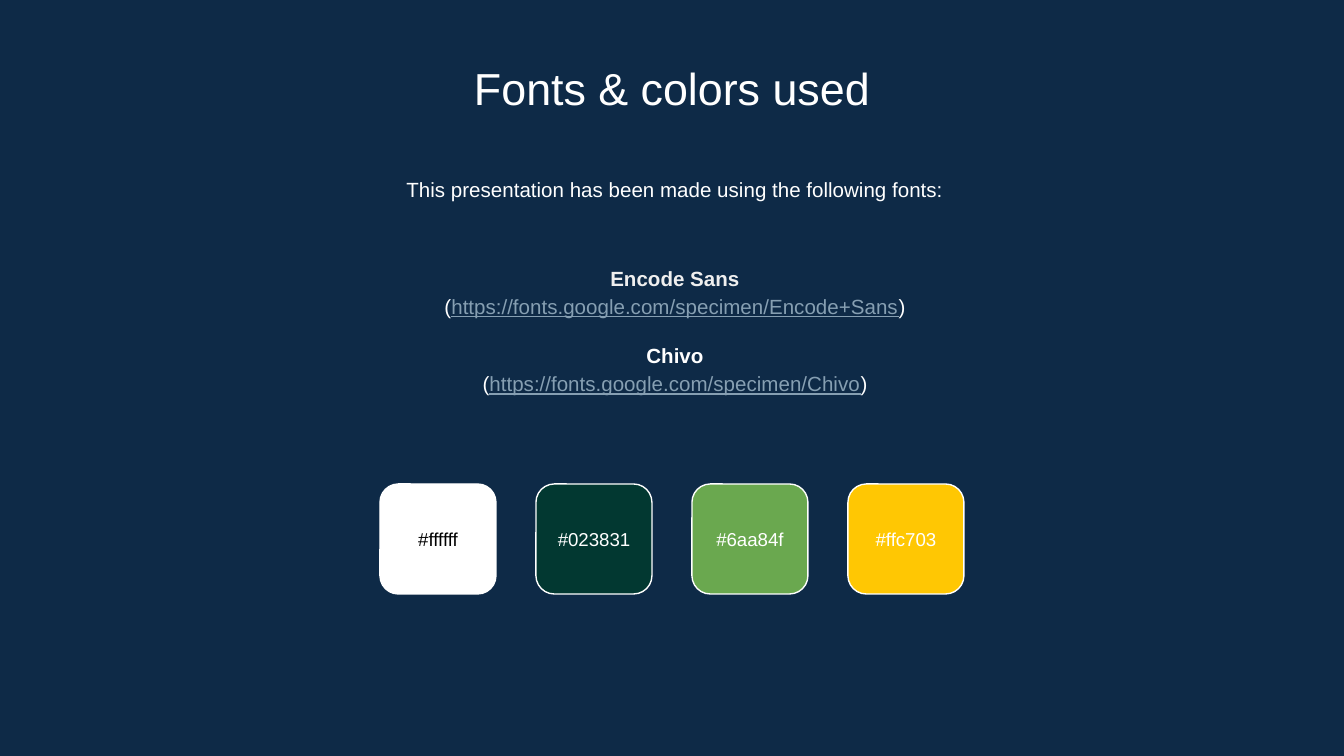
from pptx import Presentation
from pptx.dml.color import RGBColor
from pptx.enum.shapes import MSO_SHAPE as Shape
from pptx.enum.text import MSO_ANCHOR as Anchor, MSO_AUTO_SIZE as AutoSize, PP_ALIGN as Align
from pptx.util import Inches, Pt

SCALE = Inches(10) / 1344
COLORS = {
    "navy": "0E2A47",
    "white": "FFFFFF",
    "black": "000000",
    "pale": "EFEFEF",
    "link": "869FB2",
}
FONTS = [
    ("Encode Sans", "https://fonts.google.com/specimen/Encode+Sans", "pale"),
    ("Chivo", "https://fonts.google.com/specimen/Chivo", "white"),
]
SWATCHES = [("#ffffff", "black"), ("#023831", "white"), ("#6aa84f", "white"), ("#ffc703", "white")]


def px(*lengths):
    return [round(length * SCALE) for length in lengths]


def rgb(value):
    return RGBColor.from_string(value.upper())


class SlideBuilder:
    font_name = "Arial"

    def __init__(self, deck):
        self.page = deck.slides.add_slide(deck.slide_layouts[5])

    def background(self, color):
        fill = self.page.background.fill
        fill.solid()
        fill.fore_color.rgb = rgb(COLORS[color])

    def frame(self, box, anchor):
        """Set the shared margins, wrapping and anchor; return the text frame."""
        frame = box.text_frame
        frame.margin_left = frame.margin_right = frame.margin_top = frame.margin_bottom = Inches(0.1)
        frame.word_wrap = True
        frame.auto_size = AutoSize.NONE
        frame.vertical_anchor = anchor
        return frame

    def paragraph(self, para, spans, size, bold=False, line_spacing=1.0, space_before=0):
        """Fill a centred paragraph with (text, color) spans; link spans are underlined."""
        para.alignment = Align.CENTER
        para.line_spacing = line_spacing
        para.space_before = Pt(space_before)
        para.font.name = self.font_name
        para.font.size = Pt(size)
        para.font.bold = bold
        for text, color in spans:
            span = para.add_run()
            span.text = text
            span.font.color.rgb = rgb(COLORS[color])
            if color == "link":
                span.font.underline = True

    def title(self, text, left, top, width, height):
        box = self.page.shapes.title
        box.left, box.top, box.width, box.height = px(left, top, width, height)
        frame = self.frame(box, Anchor.TOP)
        self.paragraph(frame.paragraphs[0], [(text, "white")], 24)

    def text(self, text, left, top, width, height, size, color="white",
             anchor=Anchor.TOP, line_spacing=1.0):
        box = self.page.shapes.add_textbox(*px(left, top, width, height))
        frame = self.frame(box, anchor)
        self.paragraph(frame.paragraphs[0], [(text, color)], size, line_spacing=line_spacing)

    def font_list(self, fonts, left, top, width, height):
        box = self.page.shapes.add_textbox(*px(left, top, width, height))
        frame = self.frame(box, Anchor.MIDDLE)
        for index, (name, address, color) in enumerate(fonts):
            para = frame.add_paragraph() if index else frame.paragraphs[0]
            self.paragraph(para, [(name, color)], 11, True, 1.15, 11 if index else 0)
            spans = [("(", "white"), (address, "link"), (")", "white")]
            self.paragraph(frame.add_paragraph(), spans, 11, line_spacing=1.15)

    def swatch(self, code, label_color, left, top, width, height):
        box = self.page.shapes.add_shape(Shape.ROUNDED_RECTANGLE, *px(left, top, width, height))
        box.shadow.inherit = False
        box.fill.solid()
        box.fill.fore_color.rgb = rgb(code.lstrip("#"))
        box.line.color.rgb = rgb(COLORS["white"])
        box.line.width = Pt(0.75)
        label_height = 64
        label_top = top + (height - label_height) // 2
        self.text(code, left, label_top, width, label_height, 10, label_color, Anchor.MIDDLE)


def main():
    deck = Presentation()
    deck.slide_width, deck.slide_height = px(1344, 756)
    slide = SlideBuilder(deck)
    slide.background("navy")
    slide.title("Fonts & colors used", 154, 47, 1036, 71)
    slide.text("This presentation has been made using the following fonts:",
               157, 160, 1036, 64, 11, line_spacing=1.15)
    slide.font_list(FONTS, 157, 237, 1036, 184)
    for column, (code, label_color) in enumerate(SWATCHES):
        slide.swatch(code, label_color, 380 + 156 * column, 484, 116, 110)
    deck.save("out.pptx")


if __name__ == "__main__":
    main()
